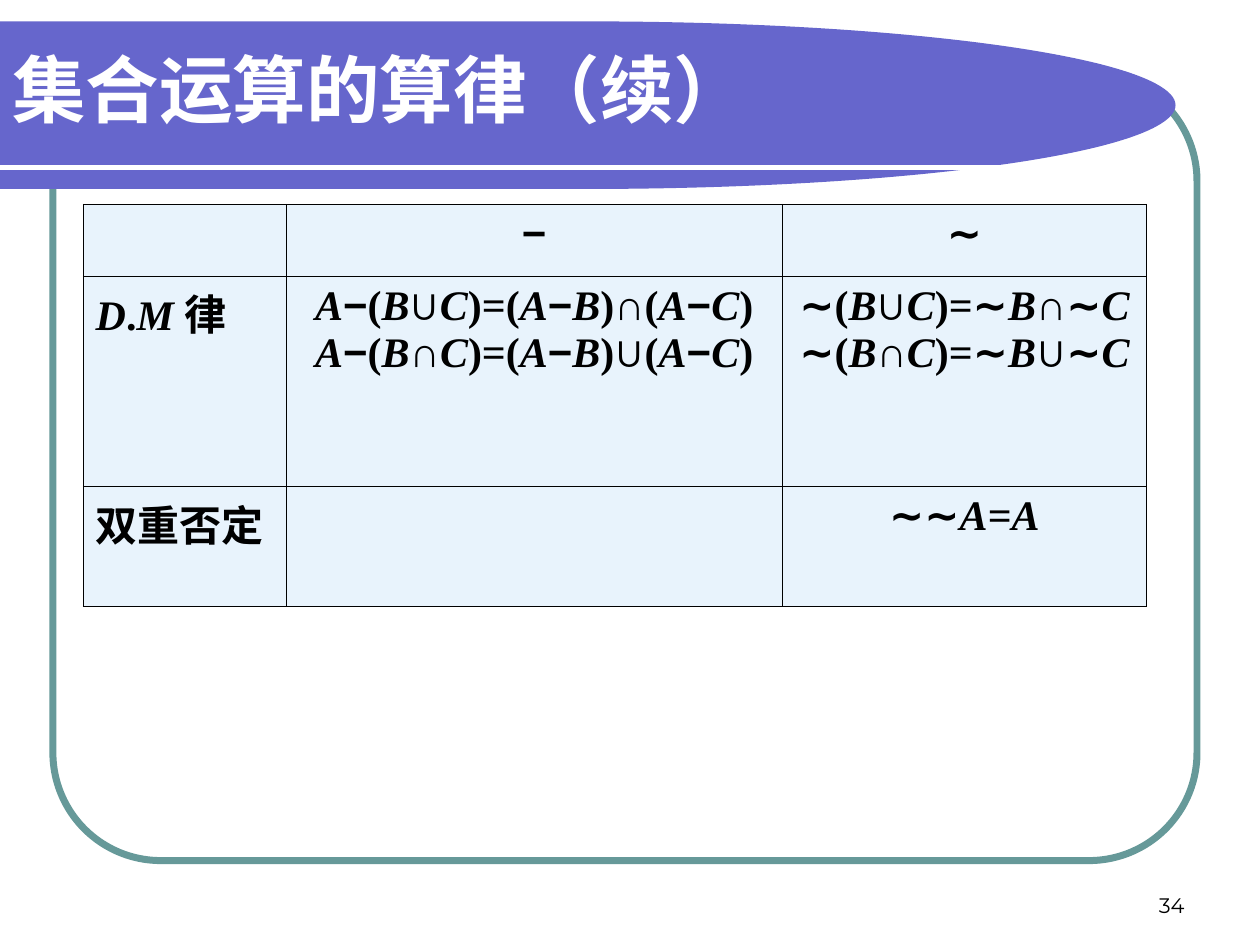
"""Build the slide on the laws of set operations."""
from itertools import groupby
from lxml.etree import SubElement
from pptx import Presentation
from pptx.dml.color import RGBColor
from pptx.enum.shapes import MSO_CONNECTOR, MSO_SHAPE
from pptx.enum.text import MSO_ANCHOR, PP_ALIGN
from pptx.oxml.ns import qn
from pptx.util import Inches, Pt

TITLE = "集合运算的算律（续）"
PAGE = "34"
LAWS = [
    ["", "−", "∼"],
    ["D.M 律",
     "A−(B∪C)=(A−B)∩(A−C)\nA−(B∩C)=(A−B)∪(A−C)",
     "∼(B∪C)=∼B∩∼C\n∼(B∩C)=∼B∪∼C"],
    ["双重否定", "", "∼∼A=A"],
]
COLS = [1.61, 3.94, 2.89]
ROWS = [0.57, 1.67, 0.95]
WIDE, HIGH = 10, 7.5
HUES = {"band": "6666CC", "frame": "669999", "cell": "E8F3FC",
        "ink": "000000", "white": "FFFFFF"}
SIGNS = "−∼∪∩"
HEAD = {"name": "Arial", "size": Pt(42), "bold": True}
FOOT = {"name": "Montserrat", "size": Pt(12)}
STYLES = {
    "sign": {"name": "Arial", "size": Pt(24), "bold": True, "italic": False},
    "var": {"name": "Times New Roman", "size": Pt(24), "bold": True, "italic": True},
    "text": {"name": "Times New Roman", "size": Pt(24), "bold": True, "italic": False},
}


def hue(key):
    return RGBColor.from_string(HUES[key])


def box(*sides):
    return [Inches(side) for side in sides]


def kind(char):
    if char in SIGNS:
        return "sign"
    return "var" if char in "ABCDM " else "text"


def write(para, text, style, ink="ink"):
    run = para.add_run()
    run.text = text
    for key, value in style.items():
        setattr(run.font, key, value)
    run.font.color.rgb = hue(ink)


def label(slide, area, text, style, ink, anchor, align):
    frame = slide.shapes.add_textbox(*box(*area)).text_frame
    frame.word_wrap = True
    frame.vertical_anchor = anchor
    para = frame.paragraphs[0]
    para.alignment = align
    write(para, text, style, ink)


def edge(cell):
    props = cell._tc.get_or_add_tcPr()
    for spot, side in enumerate(("lnL", "lnR", "lnT", "lnB")):
        line = props.makeelement(qn("a:" + side), {"w": str(Pt(0.45))})
        fill = SubElement(line, qn("a:solidFill"))
        SubElement(fill, qn("a:srgbClr"), val=HUES["ink"])
        props.insert(spot, line)


def fill_cell(cell, text, align):
    cell.fill.solid()
    cell.fill.fore_color.rgb = hue("cell")
    edge(cell)
    for row, part in enumerate(text.split("\n")):
        frame = cell.text_frame
        para = frame.add_paragraph() if row else frame.paragraphs[0]
        para.alignment = align
        for name, chars in groupby(part, kind):
            write(para, "".join(chars), STYLES[name])


def frame_up(slide):
    shapes = slide.shapes
    ring = shapes.add_shape(MSO_SHAPE.ROUNDED_RECTANGLE, *box(0.42, 0.58, 9.08, 6.25))
    ring.adjustments[0] = 0.137
    ring.fill.background()
    ring.line.color.rgb = hue("frame")
    ring.line.width = Pt(4)
    band = shapes.add_shape(MSO_SHAPE.FLOWCHART_DELAY, *box(0, 0.17, 9.33, 1.33))
    band.fill.solid()
    band.fill.fore_color.rgb = hue("band")
    band.line.fill.background()
    for shape in (ring, band):
        shape.shadow.inherit = False
    rule = shapes.add_connector(MSO_CONNECTOR.STRAIGHT, *box(0, 1.33, 8.83, 1.33))
    rule.line.color.rgb = hue("white")
    rule.line.width = Pt(3)
    SubElement(rule._element.spPr, qn("a:effectLst"))


def add_laws(slide):
    area = box(0.66, 1.62, sum(COLS), sum(ROWS))
    table = slide.shapes.add_table(len(ROWS), len(COLS), *area).table
    for col, width in zip(table.columns, COLS):
        col.width = Inches(width)
    for row, height, texts in zip(table.rows, ROWS, LAWS):
        row.height = Inches(height)
        for spot, (cell, text) in enumerate(zip(row.cells, texts)):
            fill_cell(cell, text, PP_ALIGN.CENTER if spot else PP_ALIGN.LEFT)


def main():
    deck = Presentation()
    deck.slide_width, deck.slide_height = box(WIDE, HIGH)
    slide = deck.slides.add_slide(deck.slide_layouts[6])
    frame_up(slide)
    label(slide, (7.17, 6.83, 2.33, 0.5), PAGE, FOOT, "ink",
          MSO_ANCHOR.BOTTOM, PP_ALIGN.RIGHT)
    label(slide, (0, 0, 9, 1.39), TITLE, HEAD, "white",
          MSO_ANCHOR.MIDDLE, PP_ALIGN.LEFT)
    add_laws(slide)
    deck.save("out.pptx")


if __name__ == "__main__":
    main()
